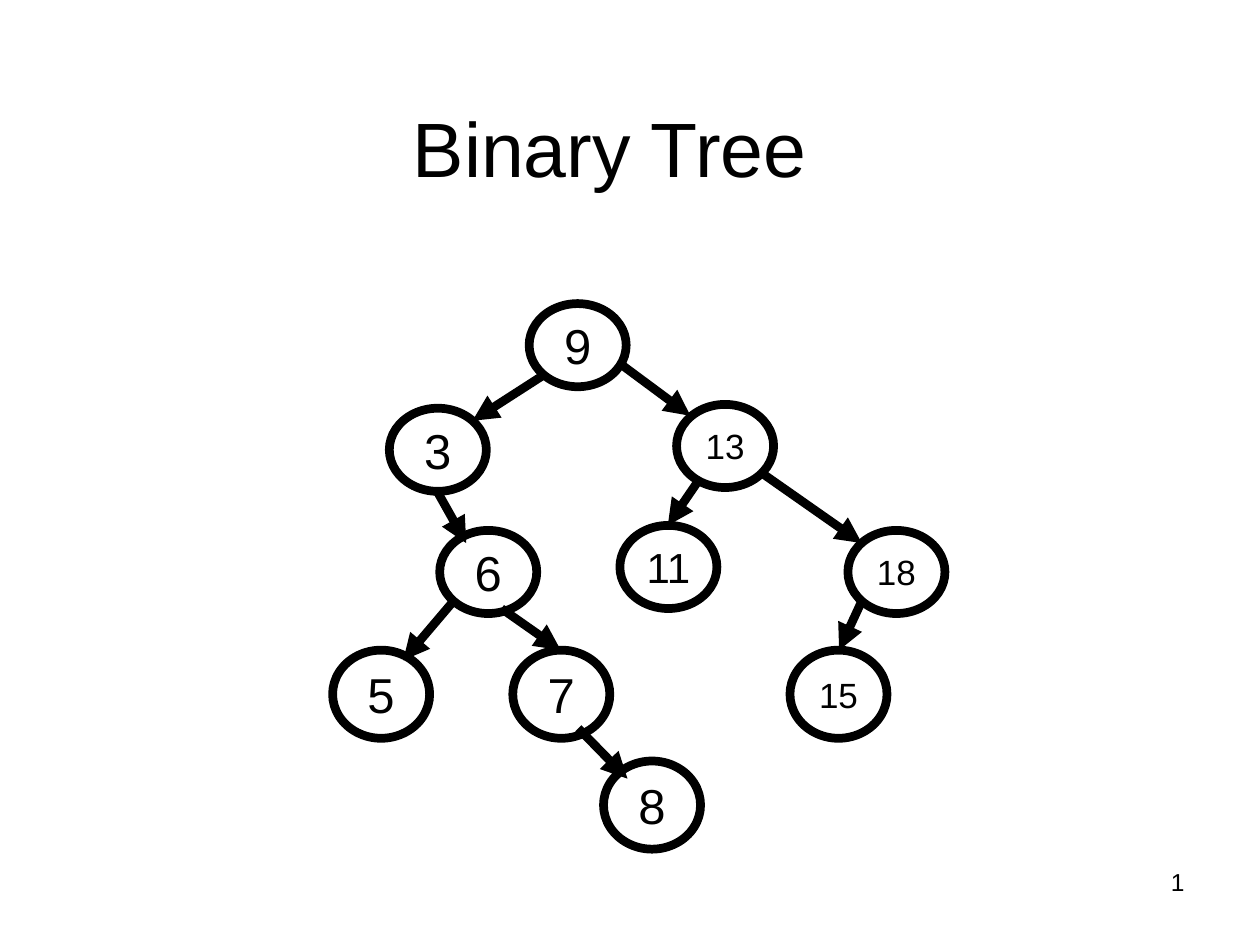
from pptx import Presentation
from pptx.dml.color import RGBColor
from pptx.enum.shapes import MSO_CONNECTOR, MSO_SHAPE
from pptx.enum.text import MSO_ANCHOR, PP_ALIGN
from pptx.oxml.ns import qn
from pptx.util import Inches, Pt
from lxml.etree import SubElement

BLACK = RGBColor(0, 0, 0)
FONT = "Arial"
STROKE = Pt(5)
SLIDE_WIDTH, SLIDE_HEIGHT = Inches(10), Inches(7.5)
COLUMNS = ROWS = 100
NODE_WIDTH, NODE_HEIGHT, LOW_NODE_HEIGHT = 7.7, 8.8, 9.33
LOW_LEVEL = 68

NODES = [
    ("9", 42, 32.13, 28),
    ("3", 30.9, 43.2, 28),
    ("13", 53.7, 42.8, 20),
    ("11", 49.2, 55.6, 24),
    ("18", 67.3, 56.13, 20),
    ("6", 34.9, 56.13, 28),
    ("5", 26.4, 68.8, 28),
    ("8", 47.9, 80.53, 28),
    ("15", 62.7, 68.8, 20),
    ("7", 40.7, 68.8, 28),
]

EDGES = [
    ((43.1, 39.73), (37.5, 44.53)),
    ((49.4, 38.67), (54.8, 44)),
    ((34.7, 52), (37, 57.47)),
    ((55.4, 50.93), (53, 55.6)),
    ((60.4, 50), (68.4, 57.47)),
    ((36, 63.6), (32, 69.87)),
    ((39.8, 64.4), (44.5, 68.8)),
    ((68.4, 63.6), (66.6, 68.8)),
    ((45.9, 77.07), (49.8, 82.4)),
]


def place(column, row):
    return round(SLIDE_WIDTH * column / COLUMNS), round(SLIDE_HEIGHT * row / ROWS)


def write_text(frame, text, size, align, anchor):
    frame.text = text
    frame.vertical_anchor = anchor
    para = frame.paragraphs[0]
    para.alignment = align
    font = para.runs[0].font
    font.name, font.size = FONT, Pt(size)
    font.color.rgb = BLACK


def add_label(page, text, corner, extent, size, align, anchor):
    box = page.shapes.add_textbox(*place(*corner), *place(*extent))
    box.text_frame.word_wrap = True
    write_text(box.text_frame, text, size, align, anchor)


def add_node(page, value, column, row, size):
    height = LOW_NODE_HEIGHT if row > LOW_LEVEL else NODE_HEIGHT
    node = page.shapes.add_shape(
        MSO_SHAPE.OVAL, *place(column, row), *place(NODE_WIDTH, height))
    node.shadow.inherit = False
    node.fill.background()
    node.line.color.rgb = BLACK
    node.line.width = STROKE
    node.text_frame.word_wrap = False
    write_text(node.text_frame, value, size, PP_ALIGN.CENTER, MSO_ANCHOR.MIDDLE)


def add_edge(page, start, end):
    edge = page.shapes.add_connector(
        MSO_CONNECTOR.STRAIGHT, *place(*start), *place(*end))
    edge.line.color.rgb = BLACK
    edge.line.width = STROKE
    properties = edge._element.spPr
    SubElement(properties.find(qn("a:ln")), qn("a:tailEnd"), type="triangle")
    SubElement(properties, qn("a:effectLst"))


def main():
    deck = Presentation()
    deck.slide_width, deck.slide_height = SLIDE_WIDTH, SLIDE_HEIGHT
    page = deck.slides.add_slide(deck.slide_layouts[6])
    add_label(page, "Binary Tree", (5.9, 4.8), (85, 21.47), 44,
              PP_ALIGN.CENTER, MSO_ANCHOR.MIDDLE)
    for node in NODES:
        add_node(page, *node)
    for start, end in EDGES:
        add_edge(page, start, end)
    add_label(page, "1", (71.7, 91.07), (23.3, 6.93), 14,
              PP_ALIGN.RIGHT, MSO_ANCHOR.TOP)
    deck.save("out.pptx")


if __name__ == "__main__":
    main()
